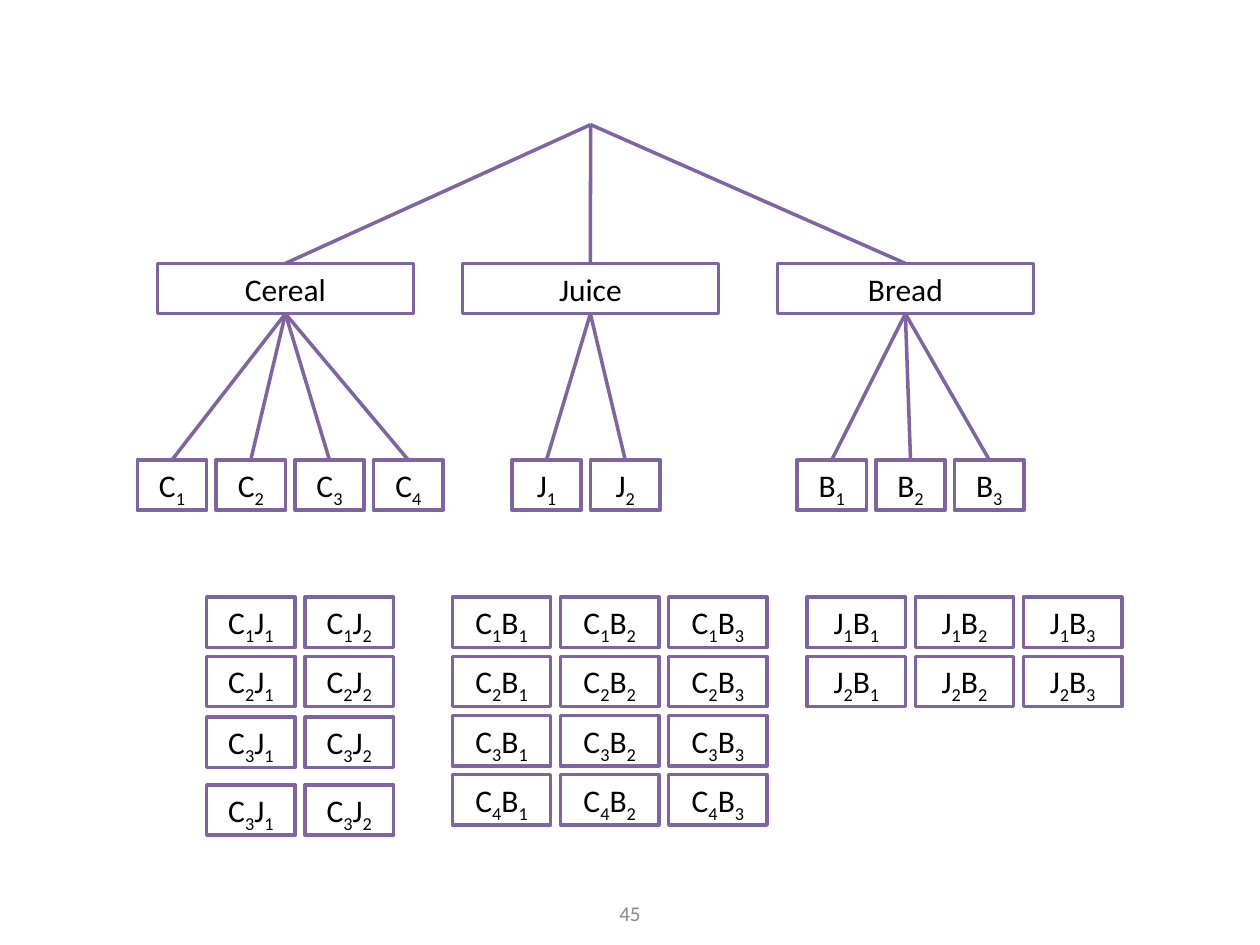
from itertools import groupby
from pptx import Presentation
from pptx.dml.color import RGBColor as RGB
from pptx.enum.shapes import MSO_CONNECTOR as LINK, MSO_SHAPE as SHAPE
from pptx.enum.text import MSO_ANCHOR as ANCHOR, MSO_AUTO_SIZE as FIT, PP_ALIGN as ALIGN
from pptx.oxml.ns import qn
from pptx.util import Pt
from lxml.etree import SubElement

colors = {"line": "8064A2", "fill": "FFFFFF", "text": "000000", "page": "898989"}
high = 28.8

deck = Presentation()
deck.slide_width, deck.slide_height = Pt(720), Pt(540)
slide = deck.slides.add_slide(deck.slide_layouts[6])
shapes = slide.shapes


def add_box(label, left, top, width):
    box = shapes.add_shape(SHAPE.RECTANGLE, Pt(left), Pt(top), Pt(width), Pt(high))
    box.shadow.inherit = False
    box.fill.solid()
    box.fill.fore_color.rgb = RGB.from_string(colors["fill"])
    box.line.color.rgb = RGB.from_string(colors["line"])
    box.line.width = Pt(2)
    frame = box.text_frame
    frame.auto_size = FIT.SHAPE_TO_FIT_TEXT
    frame.vertical_anchor = ANCHOR.TOP
    para = frame.paragraphs[0]
    para.alignment = ALIGN.CENTER
    for lower, chars in groupby(label, str.isdigit):
        run = para.add_run()
        run.text = "".join(chars)
        run.font.name = "Calibri"
        run.font.size = Pt(18)
        run.font.color.rgb = RGB.from_string(colors["text"])
        if lower:
            run._r.get_or_add_rPr().set("baseline", "-25000")
    return box


def add_link(start, side, end=None):
    link = shapes.add_connector(LINK.STRAIGHT, 0, 0, Pt(337.5), Pt(71.25))
    link.begin_connect(start, side)
    if end is not None:
        link.end_connect(end, 0)
    link.line.color.rgb = RGB.from_string(colors["line"])
    link.line.width = Pt(2)
    SubElement(link._element.spPr, qn("a:effectLst"))


foods = [
    ("Cereal", 90, 78.5, 4),
    ("Juice", 264.25, 292.5, 2),
    ("Bread", 444.25, 455.5, 3),
]
for name, left, first, count in foods:
    food = add_box(name, left, 150.5, 146.25)
    add_link(food, 0)
    for i in range(count):
        leaf = add_box(f"{name[0]}{i + 1}", first + 45 * i, 262.8, 39.6)
        add_link(food, 2, leaf)

evens = [341.25 + 33.8 * i for i in range(4)]
grids = [
    ("C", "J", 118.1, 50.6, 2, [1, 2, 3, 3], evens[:2] + [409.75, 448.5]),
    ("C", "B", 258.5, 56.2, 3, [1, 2, 3, 4], evens),
    ("J", "B", 461.25, 56.2, 3, [1, 2], evens[:2]),
]
for one, two, left, width, count, nums, tops in grids:
    for num, top in zip(nums, tops):
        for i in range(count):
            add_box(f"{one}{num}{two}{i + 1}", left + (width + 5.6) * i, top, width)

page = shapes.add_textbox(Pt(246), Pt(507.5), Pt(228), Pt(high))
frame = page.text_frame
frame.word_wrap = True
frame.vertical_anchor = ANCHOR.MIDDLE
frame.text = "45"
para = frame.paragraphs[0]
para.alignment = ALIGN.CENTER
font = para.runs[0].font
font.name = "Calibri"
font.size = Pt(12)
font.color.rgb = RGB.from_string(colors["page"])

deck.save("out.pptx")
